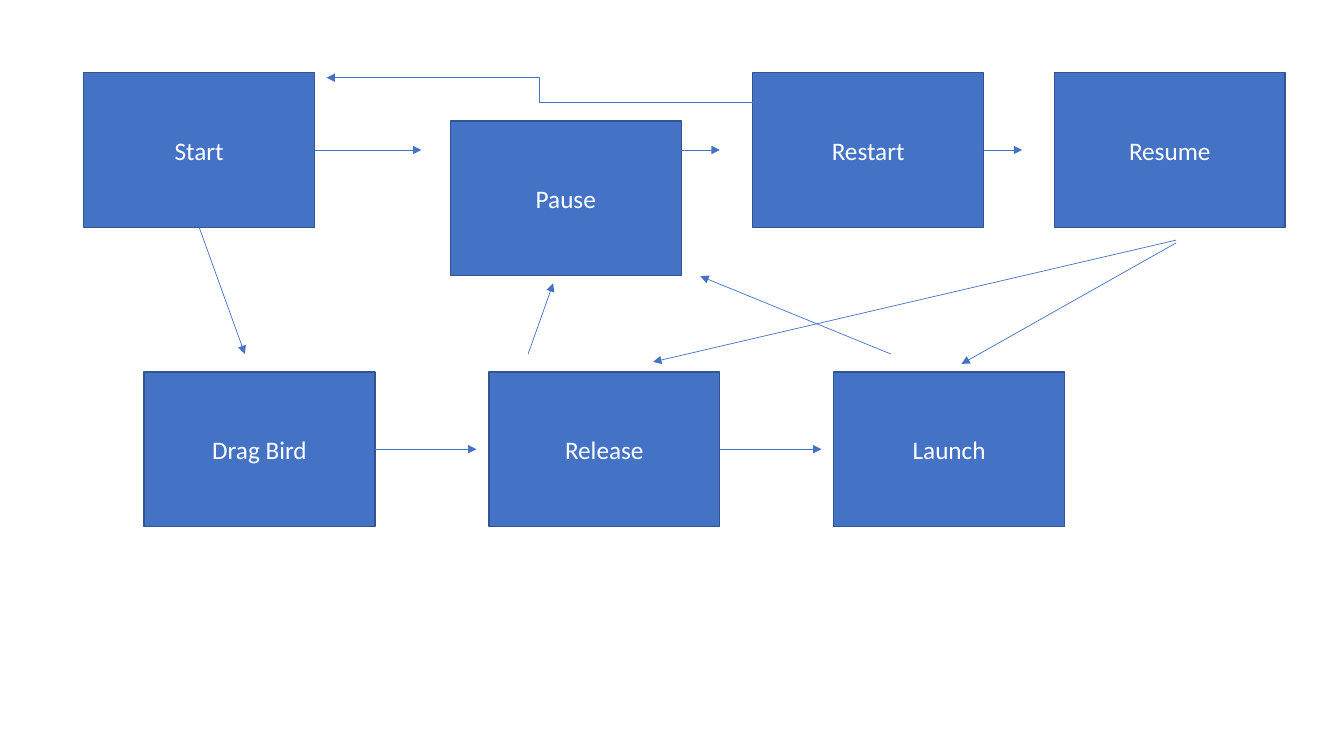
from lxml import etree
from pptx import Presentation
from pptx.dml.color import RGBColor
from pptx.enum.shapes import MSO_CONNECTOR, MSO_SHAPE
from pptx.enum.text import MSO_ANCHOR, PP_ALIGN
from pptx.oxml.ns import qn
from pptx.util import Cm, Pt

RECT = MSO_SHAPE.RECTANGLE
LINE = MSO_CONNECTOR.STRAIGHT
BENT = MSO_CONNECTOR.ELBOW
MID = MSO_ANCHOR.MIDDLE
CENTER = PP_ALIGN.CENTER
BLUE = RGBColor(0x44, 0x72, 0xC4)
NAVY = RGBColor(0x32, 0x54, 0x91)
WHITE = RGBColor(0xFF, 0xFF, 0xFF)

WIDE, HIGH = 5.82, 3.9
TOP, LOW = 1.83, 9.37
LEFT, STEP = 3.63, 8.69
BOTTOM, RIGHT = 2, 3

STATES = {
    "Start": (2.11, TOP),
    "Pause": (11.35, 3.05),
    "Restart": (18.97, TOP),
    "Resume": (26.57, TOP),
}
for i, name in enumerate(["Drag Bird", "Release", "Launch"]):
    STATES[name] = (LEFT + i * STEP, LOW)

UPPER = TOP + HIGH / 2
LOWER = LOW + HIGH / 2

JOINED = [
    ("Start", BOTTOM, (6.17, 8.92)),
    ("Start", RIGHT, (10.62, UPPER)),
    ("Restart", RIGHT, (25.76, UPPER)),
    ("Drag Bird", RIGHT, (12.01, LOWER)),
    ("Release", RIGHT, (20.7, LOWER)),
]
FREE = [
    (LINE, (17.17, UPPER), (18.14, UPPER)),
    (LINE, (13.31, 8.92), (13.94, 7.14)),
    (LINE, (22.45, 8.92), (17.65, 6.96)),
    (LINE, (29.64, 6.05), (16.46, 9.12)),
    (LINE, (29.64, 6.12), (24.23, 9.17)),
    (BENT, (18.97, 2.57), (8.23, 1.96)),
]

deck = Presentation()
deck.slide_width, deck.slide_height = Cm(33.87), Cm(19.05)
slide = deck.slides.add_slide(deck.slide_layouts[6])


def add_box(name, x, y):
    box = slide.shapes.add_shape(RECT, Cm(x), Cm(y), Cm(WIDE), Cm(HIGH))
    box.shadow.inherit = False
    box.fill.solid()
    box.fill.fore_color.rgb = BLUE
    box.line.color.rgb = NAVY
    box.line.width = Pt(1)
    frame = box.text_frame
    frame.text = name
    frame.vertical_anchor = MID
    para = frame.paragraphs[0]
    para.alignment = CENTER
    font = para.runs[0].font
    font.name, font.size = "Calibri", Pt(18)
    font.color.rgb = WHITE
    return box


def add_arrow(kind, start, end):
    points = [Cm(n) for n in start + end]
    arrow = slide.shapes.add_connector(kind, *points)
    arrow.line.color.rgb = BLUE
    arrow.line.width = Pt(0.5)
    line = arrow.line._get_or_add_ln()
    etree.SubElement(line, qn("a:tailEnd"), type="triangle")
    etree.SubElement(arrow._element.spPr, qn("a:effectLst"))
    return arrow


boxes = {name: add_box(name, x, y) for name, (x, y) in STATES.items()}

for name, side, end in JOINED:
    add_arrow(LINE, STATES[name], end).begin_connect(boxes[name], side)

for kind, start, end in FREE:
    add_arrow(kind, start, end)

deck.save("out.pptx")
